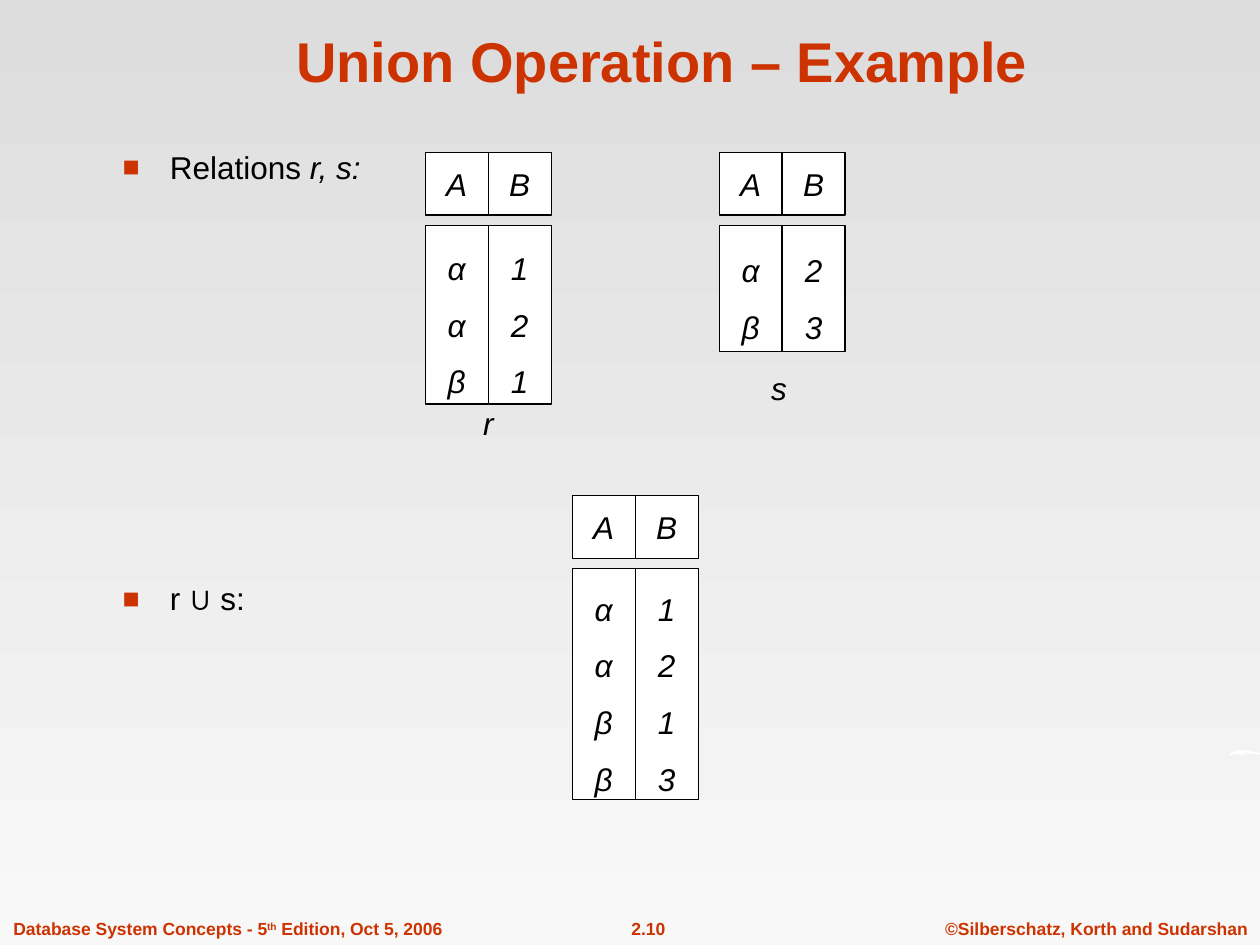
from lxml.etree import SubElement
from pptx import Presentation
from pptx.dml.color import RGBColor
from pptx.enum.shapes import MSO_SHAPE
from pptx.enum.text import MSO_ANCHOR, MSO_AUTO_SIZE, PP_ALIGN
from pptx.oxml.ns import qn
from pptx.util import Pt

RED, BLACK, WHITE = "CC3300", "000000", "FFFFFF"
CELL = 36
BODY_TOP = 42  # from the top of a relation to its rows

SWOOSH = [(702, 432.7), (702.7, 430.6), (704.9, 429.3), (708, 428.5),
          (712.1, 428.8), (716.4, 429.7), (720, 430.5), (719.3, 431.2),
          (714.2, 430.6), (711.4, 430.1), (711.4, 432), (709.2, 430.1),
          (709.2, 432), (707, 430.1), (707.6, 432), (705.6, 430.5),
          (703.4, 431.4)]


def color(code):
    return RGBColor.from_string(code)


def style(par, size, code, bold=False, italic=False, align=PP_ALIGN.LEFT):
    font = par.font
    font.name, font.size = "Arial", Pt(size)
    font.bold, font.italic = bold, italic
    font.color.rgb = color(code)
    par.alignment = align


def add_back(slide):
    fill = slide.background.fill
    fill.gradient()
    fill.gradient_angle = 270
    for stop, code, place in zip(fill.gradient_stops, ("DDDDDD", "F8F8F8"), (0, 1)):
        stop.color.rgb = color(code)
        stop.position = place


def add_swoosh(slide):
    first, *rest = [(Pt(x), Pt(y)) for x, y in SWOOSH]
    pen = slide.shapes.build_freeform(*first)
    pen.add_line_segments(rest, close=True)
    shape = pen.convert_to_shape()
    shape.shadow.inherit = False
    shape.fill.solid()
    shape.fill.fore_color.rgb = color(WHITE)
    shape.line.fill.background()


def add_title(slide, text):
    title = slide.shapes.title
    title.left, title.top, title.width, title.height = Pt(60.5), Pt(9.4), Pt(636), Pt(48)
    frame = title.text_frame
    frame.text = text
    frame.auto_size = MSO_AUTO_SIZE.NONE
    frame.vertical_anchor = MSO_ANCHOR.BOTTOM
    style(frame.paragraphs[0], 32, RED, bold=True, align=PP_ALIGN.CENTER)


def add_text(slide, box, runs, wrap=True, anchor=MSO_ANCHOR.TOP):
    """Add a one-line text box and return its paragraph."""
    frame = slide.shapes.add_textbox(*map(Pt, box)).text_frame
    frame.word_wrap = wrap
    frame.vertical_anchor = anchor
    par = frame.paragraphs[0]
    for text in runs:
        par.add_run().text = text
    return par


def add_foot(slide, left, width, runs, align):
    par = add_text(slide, (left, 521, width, 19), runs)
    style(par, 10, RED, bold=True, align=align)
    return par


def add_bullet(slide, top, runs, spacing):
    par = add_text(slide, (63, top, 546, 26.5), runs)
    style(par, 18, BLACK)
    par.line_spacing = spacing
    par.space_before = Pt(7.9)
    props = par._p.get_or_add_pPr()
    props.set("marL", str(Pt(27)))
    props.set("indent", str(Pt(-27)))
    tint = SubElement(props, qn("a:buClr"))
    SubElement(tint, qn("a:srgbClr"), val=RED)
    SubElement(props, qn("a:buSzPct"), val="90000")
    SubElement(props, qn("a:buFont"), typeface="Arial")
    SubElement(props, qn("a:buChar"), char="■")
    # paragraph defaults must follow the bullet settings
    props.append(props.find(qn("a:defRPr")))
    return par


def add_label(slide, box, text):
    par = add_text(slide, box, [text], wrap=False, anchor=MSO_ANCHOR.MIDDLE)
    style(par, 18, BLACK, italic=True, align=PP_ALIGN.CENTER)


def add_cell(slide, left, top, height, lines, spacing=1.0):
    cell = slide.shapes.add_shape(
        MSO_SHAPE.RECTANGLE, Pt(left), Pt(top), Pt(CELL), Pt(height))
    cell.shadow.inherit = False
    cell.fill.solid()
    cell.fill.fore_color.rgb = color(WHITE)
    cell.line.color.rgb = color(BLACK)
    cell.line.width = Pt(0.75)
    frame = cell.text_frame
    frame.word_wrap = False
    frame.vertical_anchor = MSO_ANCHOR.MIDDLE
    frame.text = "\n".join(lines)
    for par in frame.paragraphs:
        style(par, 18, BLACK, italic=True, align=PP_ALIGN.CENTER)
        par.line_spacing = spacing


def add_relation(slide, left, top, height, cols):
    """Draw a header cell and one tall cell of values for each column."""
    for i, (name, values) in enumerate(cols.items()):
        x = left + i * CELL
        add_cell(slide, x, top, CELL, name)
        add_cell(slide, x, top + BODY_TOP, height, values, 1.5)


def main():
    deck = Presentation()
    deck.slide_width, deck.slide_height = Pt(720), Pt(540)
    slide = deck.slides.add_slide(deck.slide_layouts[5])

    add_back(slide)
    add_foot(slide, 500, 220, ["©Silberschatz, Korth and Sudarshan"], PP_ALIGN.RIGHT)
    add_foot(slide, 335, 71, ["2.10"], PP_ALIGN.CENTER)
    foot = add_foot(slide, 0.5, 300, ["Database System Concepts - 5", "th",
                                      " Edition, Oct 5, 2006"], PP_ALIGN.LEFT)
    foot.runs[1].font._element.set("baseline", "30000")
    add_swoosh(slide)

    add_title(slide, "Union Operation – Example")
    names = add_bullet(slide, 85, ["Relations ", "r, s:"], 0.8)
    names.runs[1].font.italic = True
    add_bullet(slide, 330, ["r ∪ s:"], 0.9)

    add_relation(slide, 243, 87, 102, {"A": "ααβ", "B": "121"})
    add_relation(slide, 411, 87, 72, {"A": "αβ", "B": "23"})
    add_relation(slide, 327, 283, 132, {"A": "ααββ", "B": "1213"})
    add_label(slide, (269, 227.3, 20, 28.8), "r")
    add_label(slide, (433.5, 207.1, 23, 28.8), "s")

    deck.save("out.pptx")


if __name__ == "__main__":
    main()
